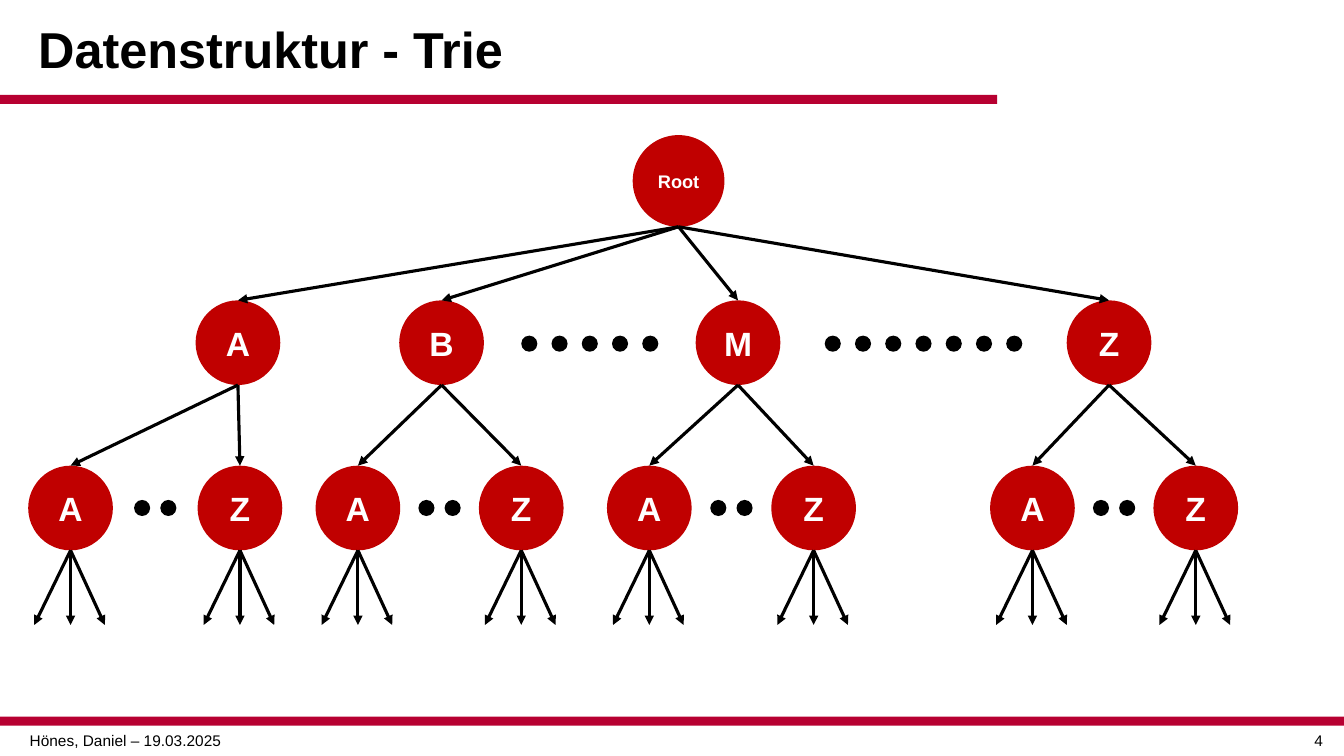
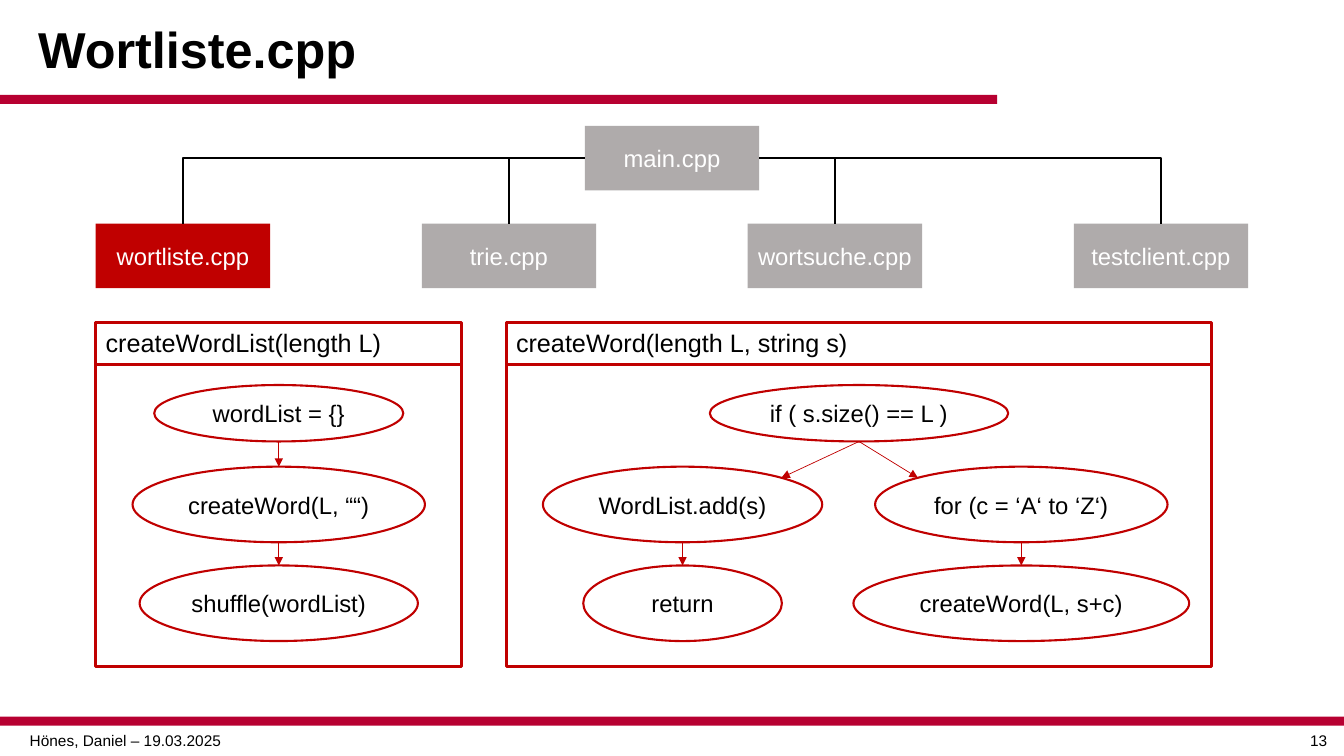
from dataclasses import dataclass

from lxml.etree import SubElement
from pptx import Presentation
from pptx.dml.color import RGBColor
from pptx.enum.shapes import MSO_CONNECTOR, MSO_SHAPE
from pptx.enum.text import MSO_ANCHOR, PP_ALIGN
from pptx.oxml.ns import qn
from pptx.util import Inches, Pt

SLIDE_WIDTH, SLIDE_HEIGHT = 13.33, 7.5
FONT = "Arial"
BLACK, WHITE = "000000", "FFFFFF"
CRIMSON, RED, GRAY = "B70031", "C00000", "AFABAB"
AUTHOR = "Hönes, Daniel – 19.03.2025"

NODE_SIZE, ROOT_SIZE, DOT_SIZE = 0.84, 0.91, 0.16
ROOT_X = 6.73
FAN_OFFSETS, FAN_DROP = (-0.36, 0, 0.34), 0.74
BRANCHES = (
    ("A", 2.36, (0.70, 2.38)),
    ("B", 4.38, (3.55, 5.17)),
    ("M", 7.32, (6.44, 8.07)),
    ("Z", 11.00, (10.24, 11.86)),
)
GAPS = ((5, 5.85), (7, 9.16))

MODULES = ("wortliste.cpp", "trie.cpp", "wortsuche.cpp", "testclient.cpp")
MODULE_WIDTH, MODULE_HEIGHT = 1.73, 0.64
HEADER_HEIGHT = 0.42
STEP_ROWS = ((0.62, 0.56), (1.43, 0.75), (2.41, 0.75))
CORNER = 0.146


@dataclass(frozen=True)
class Box:
    """A rectangle in inches."""

    left: float
    top: float
    width: float
    height: float

    def at(self, across, down):
        """Return the point at the given shares of the box."""
        return self.left + across * self.width, self.top + down * self.height

    def inches(self):
        """Return left, top, width and height as lengths."""
        return [Inches(n) for n in (self.left, self.top, self.width, self.height)]


def color(hex_value):
    """Turn a hex string into a colour."""
    return RGBColor.from_string(hex_value)


def square(center_x, center_y, size):
    """Return a square box around a centre."""
    return Box(center_x - size / 2, center_y - size / 2, size, size)


def write(shape, text, size, ink=BLACK, bold=False, align=PP_ALIGN.CENTER,
          anchor=MSO_ANCHOR.MIDDLE, wrap=True):
    """Write one paragraph into a shape and return it."""
    frame = shape.text_frame
    frame.word_wrap = wrap
    frame.vertical_anchor = anchor
    paragraph = frame.paragraphs[0]
    paragraph.text = text
    paragraph.alignment = align
    font = paragraph.font
    font.name, font.size, font.bold = FONT, Pt(size), bold
    font.color.rgb = color(ink)
    return paragraph


def add_text(slide, box, text, size, **style):
    """Add a text box and return its paragraph."""
    return write(slide.shapes.add_textbox(*box.inches()), text, size, **style)


def add_shape(slide, kind, box, fill=None, line=None, weight=1.5):
    """Add a flat preset shape."""
    shape = slide.shapes.add_shape(kind, *box.inches())
    shape.shadow.inherit = False
    if fill:
        shape.fill.solid()
        shape.fill.fore_color.rgb = color(fill)
    else:
        shape.fill.background()
    if line:
        shape.line.color.rgb = color(line)
        shape.line.width = Pt(weight)
    else:
        shape.line.fill.background()
    return shape


def add_line(slide, start, end, ink, weight, arrow=False, bent=False):
    """Add a straight or right-angled connector, with an arrowhead if asked."""
    kind = MSO_CONNECTOR.ELBOW if bent else MSO_CONNECTOR.STRAIGHT
    connector = slide.shapes.add_connector(kind, *[Inches(n) for n in (*start, *end)])
    connector.line.color.rgb = color(ink)
    connector.line.width = Pt(weight)
    properties = connector._element.spPr
    if bent:
        properties.find(qn("a:prstGeom")).set("prst", "bentConnector2")
    if arrow:
        SubElement(properties.find(qn("a:ln")), qn("a:tailEnd"), type="triangle")
    SubElement(properties, qn("a:effectLst"))


def add_framed_slide(presentation, title, number):
    """Add a slide with title, bands and footer."""
    slide = presentation.slides.add_slide(presentation.slide_layouts[6])
    heading = add_text(slide, Box(0.28, 0.09, 11.22, 0.85), title, 36,
                       bold=True, align=PP_ALIGN.LEFT)
    heading.line_spacing = 0.9
    for top, width in ((0.94, 9.89), (7.11, SLIDE_WIDTH)):
        add_shape(slide, MSO_SHAPE.RECTANGLE, Box(0, top, width, 0.09), CRIMSON)
    for left, width, text in ((0, 2.49, AUTHOR), (12.83, 0.5, str(number))):
        add_text(slide, Box(left, 7.2, width, 0.29), text, 11, anchor=MSO_ANCHOR.TOP)
    return slide


def add_node(slide, box, letter, size=24):
    """Add a red trie node."""
    node = add_shape(slide, MSO_SHAPE.OVAL, box, RED)
    write(node, letter, size, WHITE, bold=True, wrap=False)


def add_dots(slide, center_x, center_y, count, pitch):
    """Add a row of dots around a centre."""
    for index in range(count):
        x = center_x + (index - (count - 1) / 2) * pitch
        add_shape(slide, MSO_SHAPE.OVAL, square(x, center_y, DOT_SIZE), BLACK)


def add_leaf(slide, box, letter):
    """Add a node with its fan of arrows."""
    add_node(slide, box, letter)
    x, y = box.at(0.5, 1)
    for offset in FAN_OFFSETS:
        add_line(slide, (x, y), (x + offset, y + FAN_DROP), BLACK, 2.25, arrow=True)


def add_trie(slide, area):
    """Draw the trie in three rows of an area."""
    root_top, branch_top, leaf_top = (area.at(0, level / 3)[1] for level in range(3))
    branch_y, leaf_y = branch_top + NODE_SIZE / 2, leaf_top + NODE_SIZE / 2
    root = square(area.left + ROOT_X, root_top + ROOT_SIZE / 2, ROOT_SIZE)
    add_node(slide, root, "Root", 13)
    for letter, x, leaf_centers in BRANCHES:
        branch = square(area.left + x, branch_y, NODE_SIZE)
        add_node(slide, branch, letter)
        add_line(slide, root.at(0.5, 1), branch.at(0.5, 0), BLACK, 2.25, arrow=True)
        for leaf_letter, leaf_x in zip("AZ", leaf_centers):
            leaf = square(area.left + leaf_x, leaf_y, NODE_SIZE)
            add_leaf(slide, leaf, leaf_letter)
            add_line(slide, branch.at(0.5, 1), leaf.at(0.5, 0), BLACK, 2.25, arrow=True)
        add_dots(slide, area.left + sum(leaf_centers) / 2, leaf_y, 2, 0.26)
    for count, x in GAPS:
        add_dots(slide, area.left + x, branch_y + 0.01, count, 0.3)


def add_module(slide, box, name, fill):
    """Add a box for one source file."""
    module = add_shape(slide, MSO_SHAPE.RECTANGLE, box, fill)
    write(module, name, 17, WHITE, wrap=False)


def add_module_tree(slide, area, active):
    """Draw the main file above its modules, with the active one in red."""
    spare = area.width - MODULE_WIDTH
    main = Box(area.left + spare / 2, area.top, MODULE_WIDTH, MODULE_HEIGHT)
    add_module(slide, main, "main.cpp", GRAY)
    for index, name in enumerate(MODULES):
        left = area.left + index * spare / (len(MODULES) - 1)
        box = Box(left, area.top + area.height - MODULE_HEIGHT, MODULE_WIDTH, MODULE_HEIGHT)
        add_module(slide, box, name, RED if name == active else GRAY)
        side = 0 if box.left < main.left else 1
        add_line(slide, main.at(side, 0.5), box.at(0.5, 0), BLACK, 1.5, bent=True)


def add_step_arrow(slide, source, target):
    """Join two steps, at the near corner if the target is to one side."""
    start = source.at(0.5, 1)
    shift = target.at(0.5, 0)[0] - start[0]
    if abs(shift) < 0.1:
        end = target.at(0.5, 0)
    else:
        end = target.at(CORNER if shift > 0 else 1 - CORNER, CORNER)
    add_line(slide, start, end, RED, 0.5, arrow=True)


def add_function_panel(slide, box, signature, steps, links):
    """Draw a function as a titled panel with a flow of steps."""
    panel = add_shape(slide, MSO_SHAPE.RECTANGLE, box, line=RED, weight=2.25)
    write(panel, signature, 18, align=PP_ALIGN.LEFT, anchor=MSO_ANCHOR.TOP)
    header_share = HEADER_HEIGHT / box.height
    add_line(slide, box.at(0, header_share), box.at(1, header_share), RED, 2.25)
    step_boxes = []
    for text, row, center_share, width in steps:
        offset, height = STEP_ROWS[row]
        center_x = box.at(center_share, 0)[0]
        step_box = Box(center_x - width / 2, box.top + offset, width, height)
        step = add_shape(slide, MSO_SHAPE.OVAL, step_box, line=RED)
        write(step, text, 17, wrap=False)
        step_boxes.append(step_box)
    for source, target in links:
        add_step_arrow(slide, step_boxes[source], step_boxes[target])


def add_trie_slide(presentation):
    """Build the slide on the trie."""
    slide = add_framed_slide(presentation, "Datenstruktur - Trie", 4)
    add_trie(slide, Box(0, 1.34, SLIDE_WIDTH, 4.92))


def add_word_list_slide(presentation):
    """Build the slide on the word list."""
    slide = add_framed_slide(presentation, "Wortliste.cpp", 13)
    add_module_tree(slide, Box(0.95, 1.25, 11.43, 1.61), "wortliste.cpp")
    add_function_panel(
        slide, Box(0.95, 3.2, 3.63, 3.41), "createWordList(length L)",
        (("wordList = {}", 0, 0.5, 2.47),
         ("createWord(L, ““)", 1, 0.5, 2.9),
         ("shuffle(wordList)", 2, 0.5, 2.76)),
        ((0, 1), (1, 2)))
    add_function_panel(
        slide, Box(5.02, 3.2, 7, 3.41), "createWord(length L, string s)",
        (("if ( s.size() == L )", 0, 0.5, 2.96),
         ("WordList.add(s)", 1, 0.25, 2.77),
         ("return", 2, 0.25, 1.97),
         ("for (c = ‘A‘ to ‘Z‘)", 1, 0.73, 2.9),
         ("createWord(L, s+c)", 2, 0.73, 3.33)),
        ((0, 1), (0, 3), (1, 2), (3, 4)))


def main():
    """Build and save the presentation."""
    presentation = Presentation()
    presentation.slide_width = Inches(SLIDE_WIDTH)
    presentation.slide_height = Inches(SLIDE_HEIGHT)
    add_trie_slide(presentation)
    add_word_list_slide(presentation)
    presentation.save("out.pptx")


if __name__ == "__main__":
    main()
